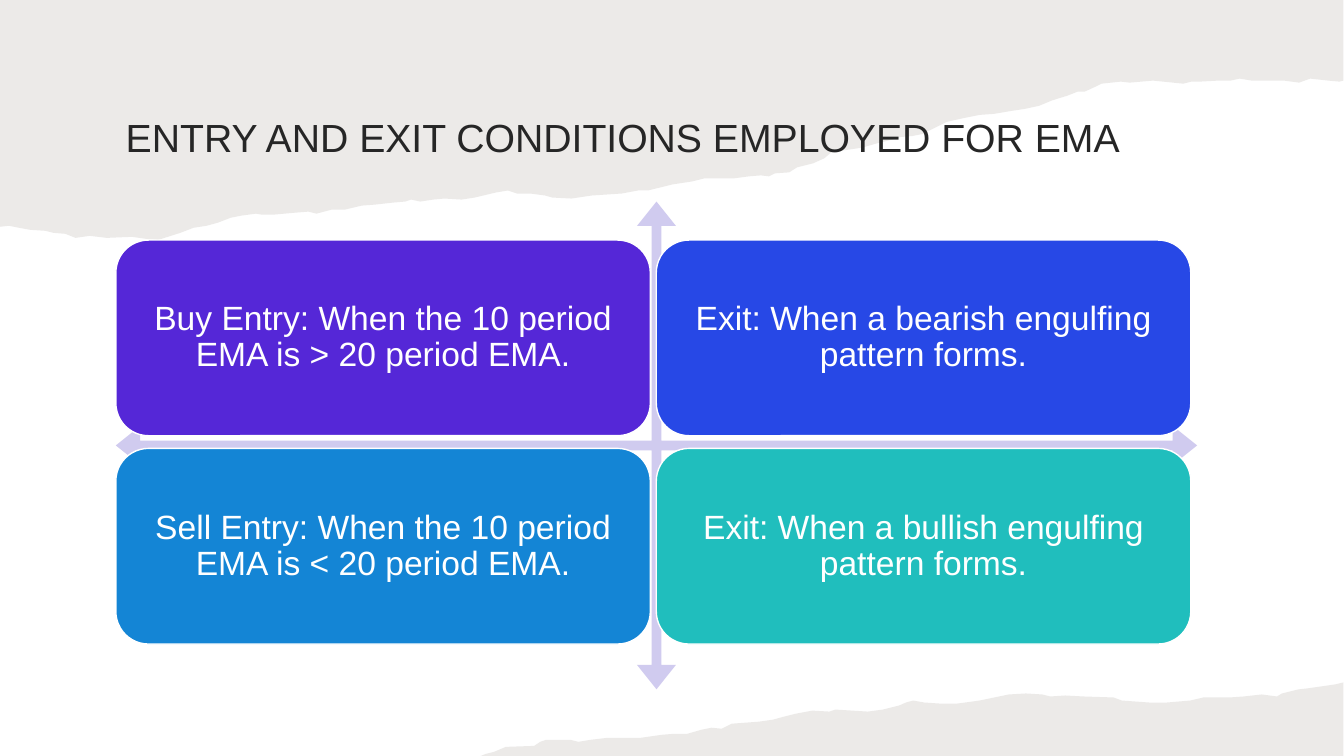
from lxml import etree
from pptx import Presentation
from pptx.dml.color import RGBColor
from pptx.enum.shapes import MSO_SHAPE
from pptx.enum.text import MSO_ANCHOR, PP_ALIGN
from pptx.oxml.ns import qn
from pptx.util import Cm, Pt

ROUNDED = MSO_SHAPE.ROUNDED_RECTANGLE
CROSS_ARROWS = MSO_SHAPE.QUAD_ARROW
MIDDLE = MSO_ANCHOR.MIDDLE
LEFT, CENTER = PP_ALIGN.LEFT, PP_ALIGN.CENTER

FONT = "Arial"
COLORS = {
    "paper": "82766A", "title": "262626", "axes": "D0CBEF", "white": "FFFFFF",
    "violet": "5527D7", "blue": "2748E6", "azure": "1485D5", "teal": "20BEBD",
}

# Torn paper edges, in steps of a hundredth of an inch
EDGE_STEP = Cm(0.0254)
TOP_PAPER = [
    (0, 0), (1333, 0), (1333, 80), (1329, 81), (1318, 80), (1300, 78),
    (1289, 82), (1274, 80), (1264, 80), (1242, 80), (1230, 78), (1221, 80),
    (1209, 80), (1190, 81), (1182, 81), (1174, 83), (1144, 80), (1121, 82),
    (1112, 81), (1093, 83), (1087, 86), (1076, 91), (1069, 91), (1059, 95),
    (1049, 98), (1043, 100), (1031, 105), (1017, 108), (1004, 110),
    (986, 113), (972, 114), (957, 117), (939, 121), (925, 128), (915, 133),
    (905, 135), (893, 136), (883, 139), (871, 142), (857, 146), (852, 147),
    (825, 151), (818, 157), (807, 162), (791, 166), (783, 171), (769, 172),
    (763, 175), (755, 174), (743, 175), (728, 177), (713, 177), (699, 177),
    (687, 180), (667, 183), (643, 189), (633, 189), (617, 192), (587, 194),
    (567, 197), (548, 196), (541, 194), (526, 192), (513, 192), (504, 189),
    (492, 191), (471, 196), (458, 198), (441, 197), (430, 198), (417, 200),
    (408, 198), (402, 200), (390, 201), (372, 203), (359, 204), (342, 208),
    (329, 208), (314, 212), (306, 210), (293, 211), (271, 213), (260, 213),
    (254, 212), (239, 214), (229, 216), (216, 221), (205, 224), (192, 226),
    (179, 231), (157, 238), (145, 237), (131, 235), (106, 236), (89, 234),
    (75, 236), (65, 232), (53, 231), (45, 229), (30, 228), (19, 226),
    (9, 224), (0, 225),
]
BOTTOM_PAPER = [
    (1333, 677), (1333, 750), (477, 750), (482, 748), (490, 746), (502, 741),
    (530, 740), (536, 736), (542, 734), (553, 734), (566, 734), (574, 736),
    (586, 734), (603, 732), (619, 732), (636, 732), (657, 729), (669, 728),
    (682, 728), (696, 724), (706, 722), (716, 723), (726, 718), (753, 716),
    (767, 714), (778, 711), (790, 708), (806, 705), (823, 706), (829, 704),
    (861, 706), (876, 704), (892, 700), (899, 697), (906, 695), (917, 697),
    (932, 698), (950, 698), (965, 696), (972, 695), (1001, 689), (1018, 688),
    (1034, 689), (1042, 691), (1057, 690), (1075, 691), (1105, 692),
    (1113, 695), (1140, 697), (1158, 697), (1181, 695), (1194, 692),
    (1220, 692), (1234, 691), (1252, 689), (1267, 691), (1272, 688),
    (1288, 684), (1297, 683), (1311, 681), (1325, 679),
]

# Conditions by grid row
CONDITIONS = [
    [("Buy Entry: When the 10 period EMA is > 20 period EMA.", "violet"),
     ("Exit: When a bearish engulfing pattern forms.", "blue")],
    [("Sell Entry: When the 10 period EMA is < 20 period EMA.", "azure"),
     ("Exit: When a bullish engulfing pattern forms.", "teal")],
]
GRID_LEFT, GRID_TOP = 2.92, 6.05
COLUMN_STEP, ROW_STEP = 13.62, 5.25
CARD_WIDTH, CARD_HEIGHT = 13.47, 4.93


class SlideBuilder:
    def __init__(self, slide):
        self.shapes = slide.shapes

    def paint(self, shape, color, outline=None):
        shape.shadow.inherit = False
        shape.fill.solid()
        shape.fill.fore_color.rgb = RGBColor.from_string(COLORS[color])
        if outline:
            shape.line.color.rgb = RGBColor.from_string(COLORS[outline])
            shape.line.width = Pt(1)
        else:
            shape.line.fill.background()

    def set_text(self, shape, text, size, color, align, spacing):
        frame = shape.text_frame
        frame.text = text
        frame.word_wrap = True
        frame.vertical_anchor = MIDDLE
        paragraph = frame.paragraphs[0]
        paragraph.alignment = align
        paragraph.line_spacing = spacing
        font = paragraph.runs[0].font
        font.name, font.size = FONT, Pt(size)
        font.color.rgb = RGBColor.from_string(COLORS[color])

    def torn_paper(self, points, opacity=15):
        start, *edge = points
        outline = self.shapes.build_freeform(*start, scale=EDGE_STEP)
        outline.add_line_segments(edge, close=True)
        paper = outline.convert_to_shape()
        self.paint(paper, "paper")
        tint = paper.element.find(".//" + qn("a:srgbClr"))
        etree.SubElement(tint, qn("a:alpha"), val=str(opacity * 1000))

    def title(self, text, left, top, width, height):
        box = self.shapes.add_textbox(Cm(left), Cm(top), Cm(width), Cm(height))
        self.set_text(box, text, 28, "title", LEFT, 1.1)

    def preset(self, kind, left, top, width, height, adjustments):
        shape = self.shapes.add_shape(kind, Cm(left), Cm(top), Cm(width), Cm(height))
        for index, value in enumerate(adjustments):
            shape.adjustments[index] = value
        return shape

    def axes(self, left, top, width, height):
        arrows = self.preset(CROSS_ARROWS, left, top, width, height, (0.02, 0.04, 0.05))
        self.paint(arrows, "axes")

    def card(self, text, color, left, top):
        card = self.preset(ROUNDED, left, top, CARD_WIDTH, CARD_HEIGHT, (0.167,))
        self.paint(card, color, outline="white")
        self.set_text(card, text, 24, "white", CENTER, 0.9)


def main():
    deck = Presentation()
    deck.slide_width, deck.slide_height = Cm(33.87), Cm(19.05)
    builder = SlideBuilder(deck.slides.add_slide(deck.slide_layouts[6]))

    # Background and title
    builder.torn_paper(TOP_PAPER)
    builder.title("ENTRY AND EXIT CONDITIONS EMPLOYED FOR EMA", 2.92, 1.7, 27.25, 3.38)
    builder.torn_paper(BOTTOM_PAPER)

    # Matrix of conditions
    builder.axes(2.92, 5.08, 27.25, 12.29)
    for row, conditions in enumerate(CONDITIONS):
        for column, (text, color) in enumerate(conditions):
            builder.card(text, color, GRID_LEFT + column * COLUMN_STEP,
                         GRID_TOP + row * ROW_STEP)

    deck.save("out.pptx")


if __name__ == "__main__":
    main()
